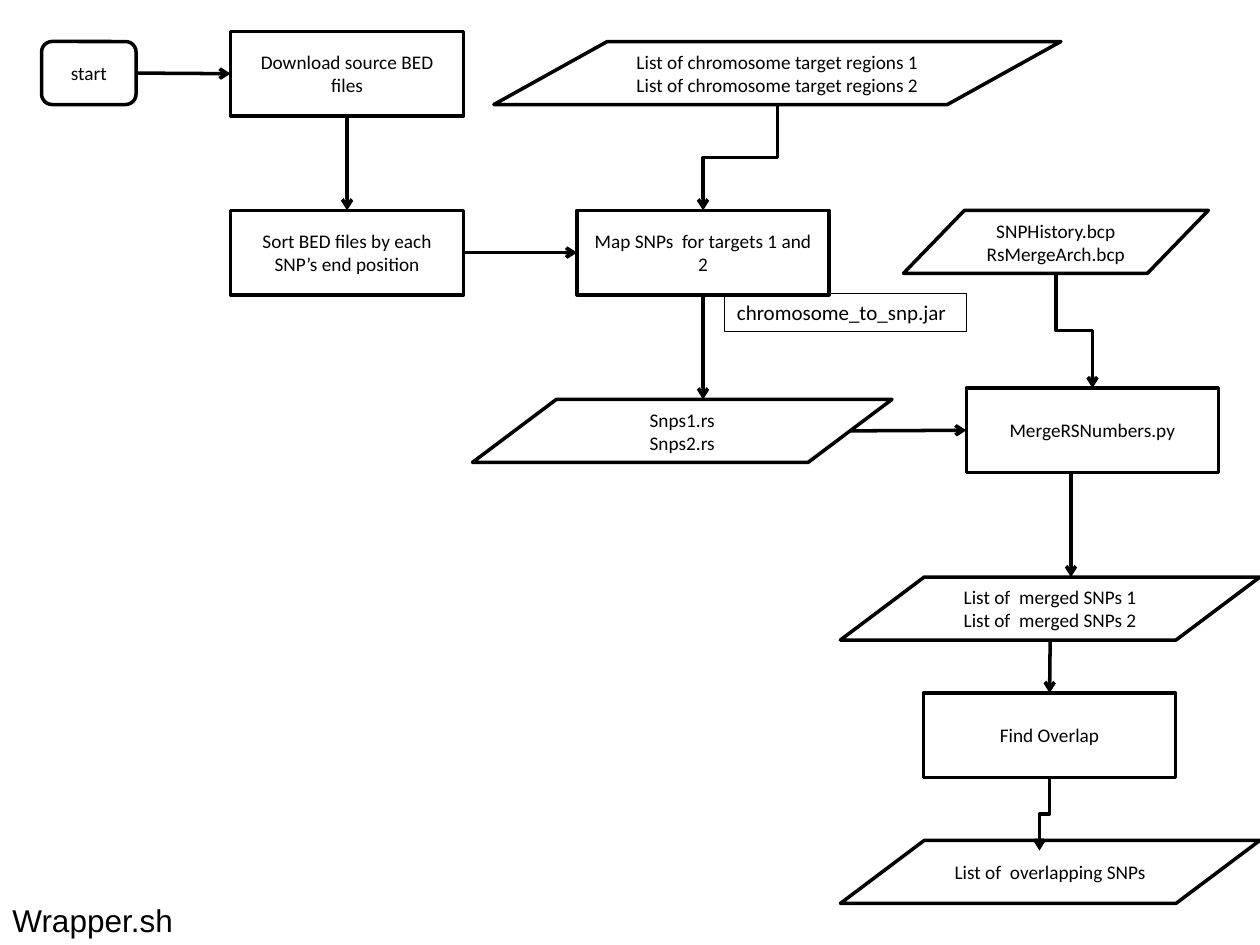
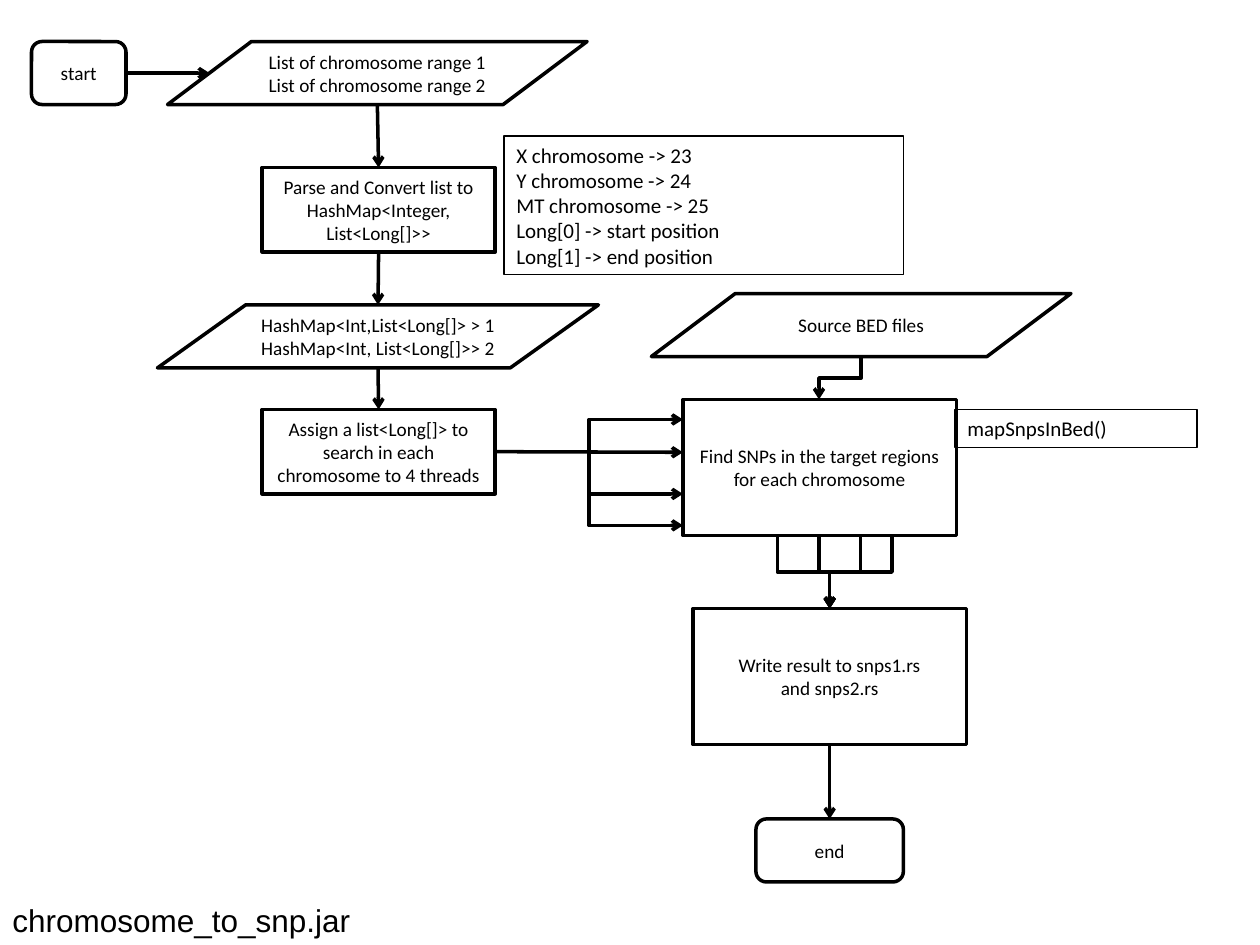
from dataclasses import dataclass

from lxml import etree
from pptx import Presentation
from pptx.dml.color import RGBColor
from pptx.enum.shapes import MSO_CONNECTOR, MSO_SHAPE
from pptx.enum.text import MSO_ANCHOR, PP_ALIGN
from pptx.oxml.ns import qn
from pptx.util import Inches, Pt

STEP = MSO_SHAPE.RECTANGLE
DATA = MSO_SHAPE.FLOWCHART_DATA
TERMINAL = MSO_SHAPE.ROUNDED_RECTANGLE
STRAIGHT, ELBOW = MSO_CONNECTOR.STRAIGHT, MSO_CONNECTOR.ELBOW
CENTER, LEFT_ALIGN = PP_ALIGN.CENTER, PP_ALIGN.LEFT
MIDDLE, ANCHOR_TOP = MSO_ANCHOR.MIDDLE, MSO_ANCHOR.TOP
TOP, LEFT, BOTTOM, RIGHT = range(4)


@dataclass(frozen=True)
class Theme:
    ink: RGBColor = RGBColor(0, 0, 0)
    font: str = "Calibri"
    title_font: str = "Arial"
    node_size: int = 11
    note_size: int = 12
    title_size: int = 18
    node_line: float = 2
    note_line: float = 0.75


THEME = Theme()
TITLE_BOX = (0, 7.1, 3.58, 0.4)
DATA_INSET = 0.1
STRAIGHT_LIMIT = 0.02

SLIDES = [
    {
        "title": "Wrapper.sh",
        "nodes": {
            "start": (TERMINAL, ["start"], (0.33, 0.33, 0.75, 0.5)),
            "download": (STEP, ["Download source BED files"], (1.83, 0.25, 1.85, 0.67)),
            "sort": (STEP, ["Sort BED files by each SNP’s end position"],
                     (1.83, 1.67, 1.85, 0.67)),
            "map": (STEP, ["Map SNPs  for targets 1 and 2"], (4.58, 1.67, 2, 0.67)),
            "targets": (DATA, ["List of chromosome target regions 1",
                               "List of chromosome target regions 2"],
                        (3.92, 0.33, 4.5, 0.5)),
            "snps": (DATA, ["Snps1.rs", "Snps2.rs"], (3.75, 3.17, 3.33, 0.5)),
            "merge": (STEP, ["MergeRSNumbers.py"], (7.67, 3.08, 2, 0.67)),
            "history": (DATA, ["SNPHistory.bcp", "RsMergeArch.bcp"],
                        (7.17, 1.67, 2.42, 0.5)),
            "merged": (DATA, ["List of  merged SNPs 1", "List of  merged SNPs 2"],
                       (6.67, 4.58, 3.33, 0.5)),
            "overlap": (STEP, ["Find Overlap"], (7.33, 5.5, 2, 0.67)),
            "overlapping": (DATA, ["List of  overlapping SNPs"], (6.67, 6.67, 3.33, 0.5)),
        },
        "notes": [(["chromosome_to_snp.jar"], (5.75, 2.33, 1.92, 0.3))],
        "links": [
            (("start", RIGHT), ("download", LEFT)),
            (("download", BOTTOM), ("sort", TOP)),
            (("sort", RIGHT), ("map", LEFT)),
            (("targets", BOTTOM), ("map", TOP)),
            (("map", BOTTOM), (5.58, 3.17)),
            (("snps", RIGHT), ("merge", LEFT)),
            (("history", BOTTOM), ("merge", TOP)),
            ((8.5, 3.75), (8.5, 4.58)),
            (("merged", BOTTOM), ("overlap", TOP)),
            (("overlap", BOTTOM), (8.25, 6.75)),
        ],
    },
    {
        "title": "chromosome_to_snp.jar",
        "nodes": {
            "start": (TERMINAL, ["start"], (0.25, 0.33, 0.75, 0.5)),
            "ranges": (DATA, ["List of chromosome range 1", "List of chromosome range 2"],
                       (1.33, 0.33, 3.33, 0.5)),
            "convert": (STEP, ["Parse and Convert list to HashMap<Integer, List<Long[]>>"],
                        (2.08, 1.33, 1.85, 0.67)),
            "maps": (DATA, ["HashMap<Int,List<Long[]> > 1", "HashMap<Int, List<Long[]>> 2"],
                     (1.25, 2.42, 3.5, 0.5)),
            "assign": (STEP, ["Assign a list<Long[]> to search in each chromosome to 4 threads"],
                       (2.08, 3.25, 1.85, 0.67)),
            "find": (STEP, ["Find SNPs in the target regions for each chromosome"],
                     (5.42, 3.17, 2.17, 1.08)),
            "source": (DATA, ["Source BED files"], (5.17, 2.33, 3.33, 0.5)),
            "write": (STEP, ["Write result to snps1.rs", "and snps2.rs"],
                      (5.5, 4.83, 2.17, 1.08)),
            "end": (TERMINAL, ["end"], (6, 6.5, 1.17, 0.5)),
        },
        "notes": [
            (["X chromosome -> 23", "Y chromosome -> 24", "MT chromosome -> 25",
              "Long[0] -> start position", "Long[1] -> end position"],
             (4, 1.08, 3.17, 1.1)),
            (["mapSnpsInBed()"], (7.58, 3.25, 1.92, 0.3)),
        ],
        "links": [
            (("start", RIGHT), ("ranges", LEFT)),
            (("ranges", BOTTOM), ("convert", TOP)),
            (("convert", BOTTOM), ("maps", TOP)),
            (("maps", BOTTOM), ("assign", TOP)),
            *[(("assign", RIGHT), (5.42, y)) for y in (3.33, 3.59, 3.92, 4.17)],
            (("source", BOTTOM), (6.5, 3.17)),
            *[((x, 4.25), ("write", TOP)) for x in (6.17, 6.5, 6.83, 7.08)],
            (("write", BOTTOM), ("end", TOP)),
        ],
    },
]


def inches(values):
    return [Inches(v) for v in values]


def write_text(sp, lines, size=THEME.node_size, font=THEME.font,
               align=CENTER, anchor=MIDDLE):
    tf = sp.text_frame
    tf.word_wrap = True
    tf.vertical_anchor = anchor
    for i, line in enumerate(lines):
        p = tf.paragraphs[0] if i == 0 else tf.add_paragraph()
        p.alignment = align
        r = p.add_run()
        r.text = line
        r.font.size = Pt(size)
        r.font.name = font
        r.font.color.rgb = THEME.ink


def add_box(s, kind, lines, box, line=THEME.node_line, **text_format):
    sp = s.shapes.add_shape(kind, *inches(box))
    sp.shadow.inherit = False
    sp.fill.background()
    sp.line.color.rgb = THEME.ink
    sp.line.width = Pt(line)
    write_text(sp, lines, **text_format)
    return sp


def locate(end, nodes):
    if not isinstance(end[0], str):
        return end
    name, side = end
    kind, _, (x, y, w, h) = nodes[name]
    inset = DATA_INSET * w if kind == DATA else 0
    return {
        TOP: (x + w / 2, y),
        LEFT: (x + inset, y + h / 2),
        BOTTOM: (x + w / 2, y + h),
        RIGHT: (x + w - inset, y + h / 2),
    }[side]


def add_vertical_elbow(s, x1, y1, x2, y2):
    cx, cy = (x1 + x2) / 2, (y1 + y2) / 2
    half_w, half_h = (y2 - y1) / 2, abs(x2 - x1) / 2
    turn = 270 if x2 > x1 else 90
    if turn == 270:
        half_w = -half_w
    c = s.shapes.add_connector(
        ELBOW, *inches((cx - half_w, cy - half_h, cx + half_w, cy + half_h)))
    c.element.spPr.find(qn("a:xfrm")).set("rot", str(turn * 60000))
    return c


def add_link(s, begin, end, nodes, shapes):
    x1, y1 = locate(begin, nodes)
    x2, y2 = locate(end, nodes)
    dx, dy = abs(x2 - x1), abs(y2 - y1)
    if min(dx, dy) < STRAIGHT_LIMIT:
        c = s.shapes.add_connector(STRAIGHT, *inches((x1, y1, x2, y2)))
        for (name, site), join in ((begin, c.begin_connect), (end, c.end_connect)):
            if name in nodes and nodes[name][0] != DATA:
                join(shapes[name], site)
    elif dy > dx:
        c = add_vertical_elbow(s, x1, y1, x2, y2)
    else:
        c = s.shapes.add_connector(ELBOW, *inches((x1, y1, x2, y2)))
    c.line.color.rgb = THEME.ink
    c.line.width = Pt(THEME.node_line)
    spPr = c.element.spPr
    etree.SubElement(spPr.find(qn("a:ln")), qn("a:tailEnd"), type="arrow")
    etree.SubElement(spPr, qn("a:effectLst"))


def add_flowchart(prs, title, nodes, notes, links):
    s = prs.slides.add_slide(prs.slide_layouts[6])
    shapes = {name: add_box(s, *node) for name, node in nodes.items()}
    for begin, end in links:
        add_link(s, begin, end, nodes, shapes)
    for lines, box in notes:
        add_box(s, STEP, lines, box, line=THEME.note_line, size=THEME.note_size,
                align=LEFT_ALIGN, anchor=ANCHOR_TOP)
    write_text(s.shapes.add_textbox(*inches(TITLE_BOX)), [title], size=THEME.title_size,
               font=THEME.title_font, align=LEFT_ALIGN, anchor=ANCHOR_TOP)


def main():
    prs = Presentation()
    prs.slide_width, prs.slide_height = Inches(10), Inches(7.5)
    for slide in SLIDES:
        add_flowchart(prs, **slide)
    prs.save("out.pptx")


if __name__ == "__main__":
    main()
